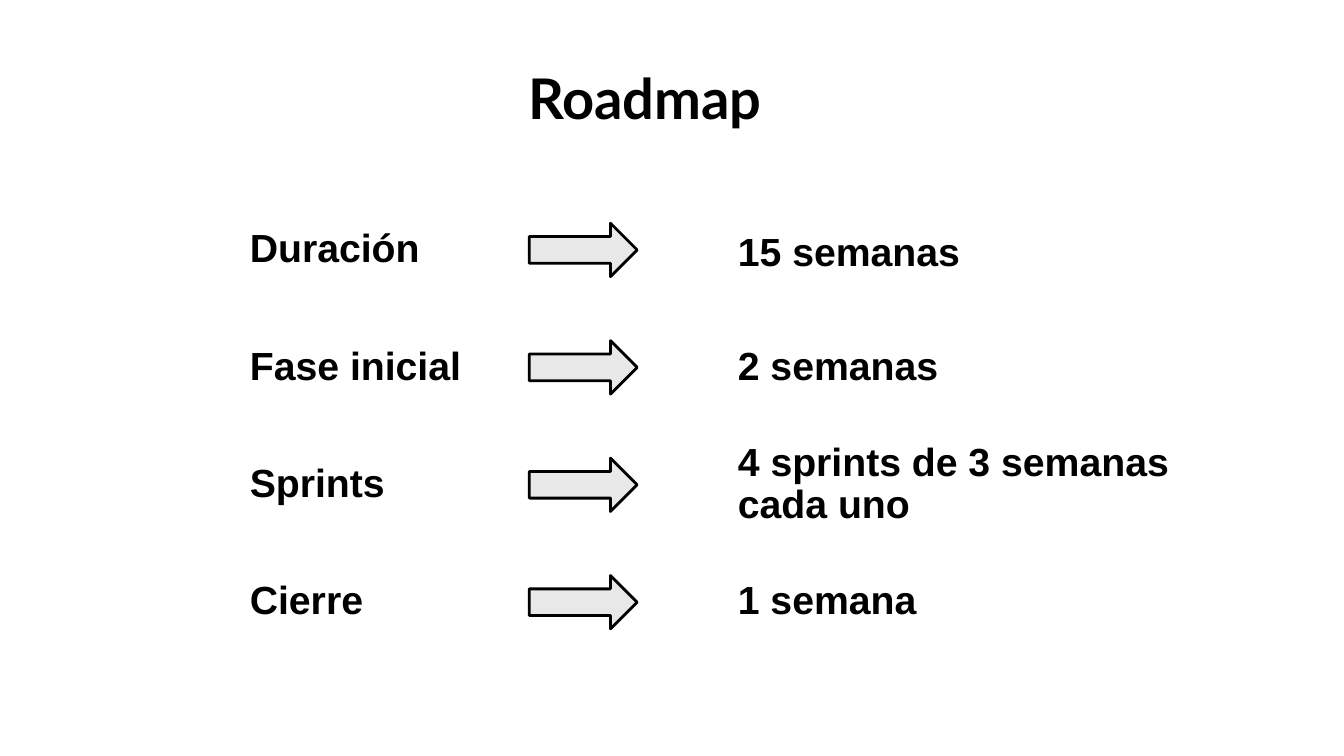
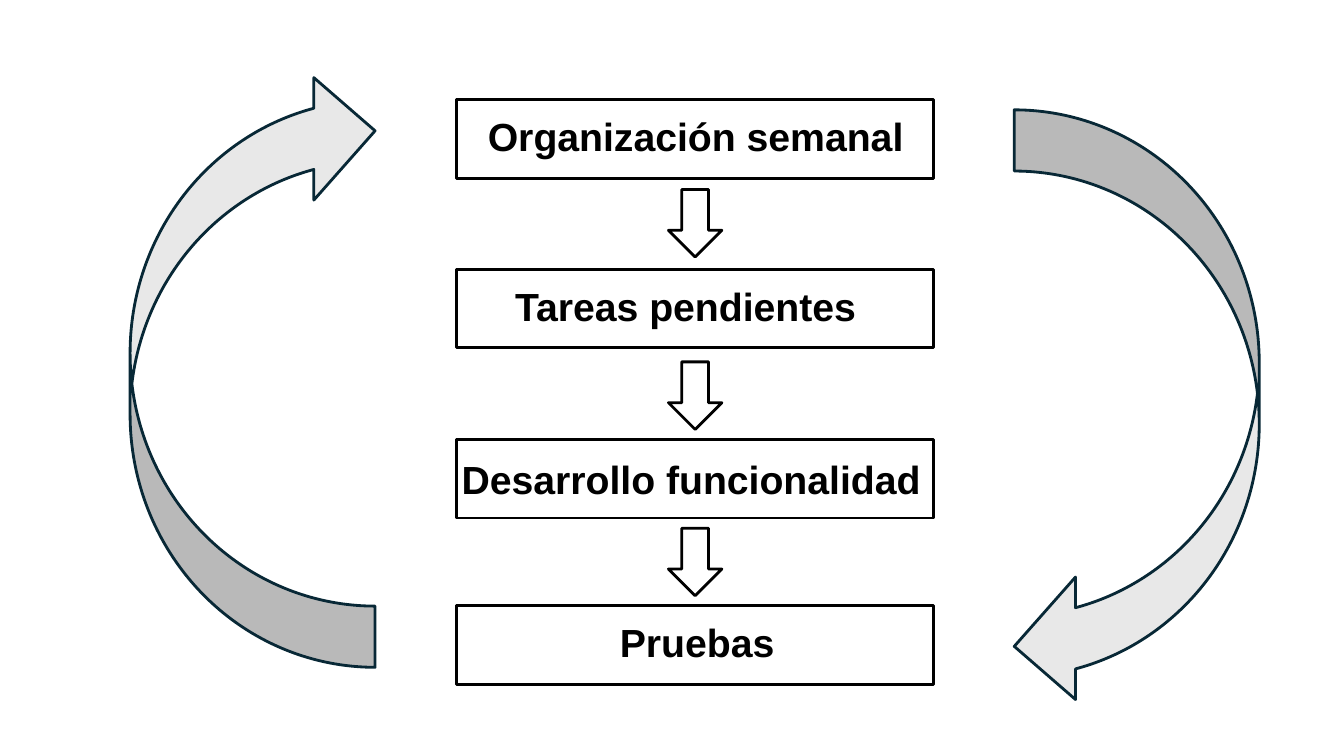
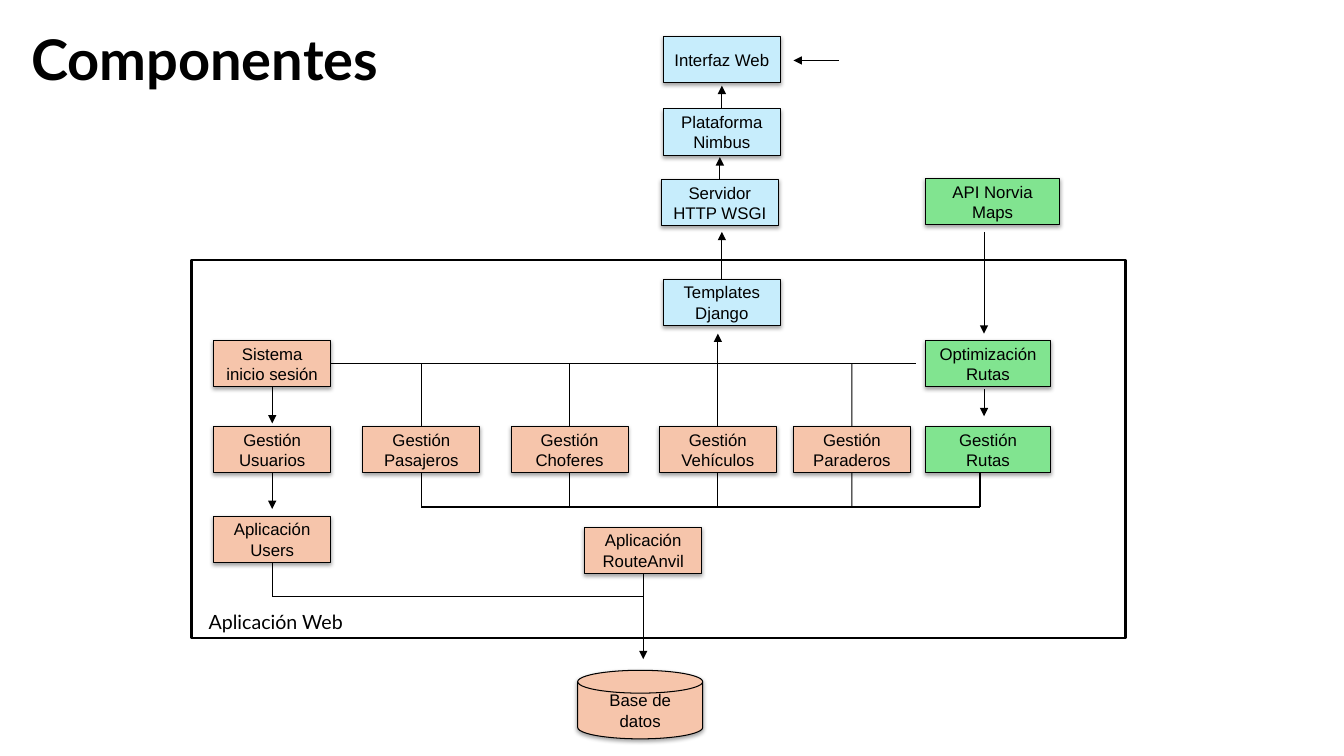
from lxml.etree import SubElement
from pptx import Presentation
from pptx.dml.color import RGBColor
from pptx.enum.shapes import MSO_CONNECTOR, MSO_SHAPE
from pptx.enum.text import MSO_ANCHOR, PP_ALIGN
from pptx.oxml.ns import qn
from pptx.util import Inches, Pt

COLORS = {
    "black": "000000",
    "white": "FFFFFF",
    "gray": "E8E8E8",
    "navy": "082836",
    "blue": "C7EDFC",
    "orange": "F6C5AB",
    "green": "81E490",
}
TITLE_FONT, BODY_FONT = "Lato", "Arial"
TOP, LEFT, BOTTOM, RIGHT = range(4)
BOX_W, BOX_H = 1.16, 0.46
LABEL_H = 0.39


def rgb(name):
    return RGBColor.from_string(COLORS[name])


class Deck:
    """Holds the shared style and the slide being built."""

    def __init__(self):
        self.prs = Presentation()
        self.prs.slide_width, self.prs.slide_height = Inches(13.33), Inches(7.5)

    def new_slide(self):
        self.s = self.prs.slides.add_slide(self.prs.slide_layouts[6])
        self.s.background.fill.solid()
        self.s.background.fill.fore_color.rgb = rgb("white")

    def fill_text(self, sp, text, size, font=BODY_FONT, bold=False,
                  align=PP_ALIGN.LEFT, anchor=MSO_ANCHOR.TOP, spacing=None):
        tf = sp.text_frame
        tf.word_wrap = True
        tf.vertical_anchor = anchor
        p = tf.paragraphs[0]
        p.text = text
        p.alignment = align
        if spacing:
            p.line_spacing = spacing
        p.font.size, p.font.name, p.font.bold = Pt(size), font, bold
        p.font.color.rgb = rgb("black")

    def text(self, x, y, w, h, text, size, **style):
        sp = self.s.shapes.add_textbox(*map(Inches, (x, y, w, h)))
        self.fill_text(sp, text, size, **style)

    def title(self, x, y, w, text):
        self.text(x, y, w, 0.77, text, 40, font=TITLE_FONT, bold=True)

    def label(self, x, middle, w, text, h=LABEL_H):
        """Large bold text, centred vertically on middle."""
        self.text(x, middle - h / 2, w, h, text, 28, bold=True,
                  anchor=MSO_ANCHOR.MIDDLE, spacing=0.9)

    def shape(self, kind, x, y, w, h, fill="white", line="black", width=2):
        sp = self.s.shapes.add_shape(kind, *map(Inches, (x, y, w, h)))
        sp.fill.solid()
        sp.fill.fore_color.rgb = rgb(fill)
        sp.line.color.rgb = rgb(line)
        sp.line.width = Pt(width)
        sp.shadow.inherit = False
        return sp

    def component(self, x, y, text, fill, w=BOX_W, h=BOX_H,
                  kind=MSO_SHAPE.RECTANGLE):
        """Captioned shape with a soft shadow below it."""
        sp = self.shape(kind, x, y, w, h, fill, width=0.75)
        effects = sp._element.spPr.find(qn("a:effectLst"))
        shadow = SubElement(effects, qn("a:outerShdw"), blurRad=str(Pt(3.1)),
                            dist=str(Pt(1.6)), dir="5400000", rotWithShape="0")
        color = SubElement(shadow, qn("a:srgbClr"), val=COLORS["black"])
        SubElement(color, qn("a:alpha"), val="37000")
        self.fill_text(sp, text, 12, align=PP_ALIGN.CENTER,
                       anchor=MSO_ANCHOR.MIDDLE)
        return sp

    def line(self, start, end, arrow=False, begin=None, finish=None):
        """Line between points; begin and finish are (shape, side) joints."""
        c = self.s.shapes.add_connector(
            MSO_CONNECTOR.STRAIGHT, *map(Inches, (*start, *end)))
        if begin:
            c.begin_connect(*begin)
        if finish:
            c.end_connect(*finish)
        c.line.color.rgb = rgb("black")
        c.line.width = Pt(0.75)
        spPr = c._element.spPr
        if arrow:
            SubElement(spPr.find(qn("a:ln")), qn("a:tailEnd"), type="triangle")
        SubElement(spPr, qn("a:effectLst"))


def roadmap(deck):
    deck.new_slide()
    deck.title(5.14, 0.58, 3.06, "Roadmap")
    rows = [
        ("Duración", 2.03, "15 semanas", 2.67, LABEL_H, 0.04),
        ("Fase inicial", 2.38, "2 semanas", 2.67, LABEL_H, 0),
        ("Sprints", 2.03, "4 sprints de 3 semanas cada uno", 4.62, 2.27, 0),
        ("Cierre", 2.03, "1 semana", 2.67, LABEL_H, 0),
    ]
    for i, (stage, stage_w, span, span_w, span_h, shift) in enumerate(rows):
        middle = 2.48 + 1.165 * i
        deck.label(2.38, middle, stage_w, stage)
        deck.shape(MSO_SHAPE.RIGHT_ARROW, 5.25, middle - 0.265, 1.07, 0.53, "gray")
        deck.label(7.22, middle + shift, span_w, span, span_h)


def weekly_cycle(deck):
    deck.new_slide()
    steps = [
        (0.99, "Organización semanal", 4.74, 1.38, 4.34),
        (2.67, "Tareas pendientes", 5.01, 3.06, 3.84),
        (4.36, "Desarrollo funcionalidad", 4.48, 4.78, 4.96),
        (6.01, "Pruebas", 6.05, 6.4, 2.03),
    ]
    for y, text, x, middle, w in steps:
        deck.shape(MSO_SHAPE.RECTANGLE, 4.53, y, 4.73, 0.78)
        deck.label(x, middle, w, text)
    for y in (1.88, 3.59, 5.24):
        deck.shape(MSO_SHAPE.DOWN_ARROW, 6.63, y, 0.53, 0.67)
    for x, y, turn in ((10.06, 1.09, 0), (1.29, 0.69, 180)):
        arc = deck.shape(MSO_SHAPE.CURVED_LEFT_ARROW, x, y, 2.43, 5.93,
                         "gray", "navy")
        arc.rotation = turn


def components(deck):
    deck.new_slide()
    deck.shape(MSO_SHAPE.RECTANGLE, 1.9, 2.58, 9.26, 3.75)
    deck.title(0.21, 0.19, 3.82, "Componentes")
    deck.text(1.97, 6, 2.21, 0.34, "Aplicación Web", 14, font=TITLE_FONT)

    deck.component(6.58, 0.36, "Interfaz Web", "blue")
    platform = deck.component(6.58, 1.08, "Plataforma Nimbus", "blue")
    server = deck.component(6.56, 1.78, "Servidor HTTP WSGI", "blue")
    templates = deck.component(6.58, 2.77, "Templates Django", "blue")

    login_y, manage_y = 3.38, 4.23
    login = deck.component(2.12, login_y, "Sistema inicio sesión", "orange")
    users = deck.component(2.12, manage_y, "Gestión Usuarios", "orange")
    users_app = deck.component(2.12, 5.12, "Aplicación Users", "orange")
    managers = [
        (x + BOX_W / 2, deck.component(x, manage_y, f"Gestión {name}", "orange"))
        for x, name in ((3.6, "Pasajeros"), (5.07, "Choferes"),
                        (6.54, "Vehículos"), (7.87, "Paraderos"))
    ]
    deck.component(9.18, 1.77, "API Norvia Maps", "green", 1.33)
    deck.component(9.18, login_y, "Optimización Rutas", "green", 1.24)
    deck.component(9.18, manage_y, "Gestión Rutas", "green", 1.24)
    main_app = deck.component(5.8, 5.23, "Aplicación RouteAnvil", "orange")
    deck.component(5.73, 6.65, "Base de datos", "orange", 1.24, 0.68,
                   MSO_SHAPE.FLOWCHART_MAGNETIC_DISK)

    # Arrows up through the web layers
    web_x, server_x, vehicles_x = 7.16, 7.14, 7.12
    for box, x, y, tip in ((platform, web_x, 1.08, 0.85),
                           (server, server_x, 1.78, 1.56),
                           (templates, web_x, 2.77, 2.3)):
        deck.line((x, y), (x, tip), arrow=True, begin=(box, TOP))
    deck.line((8.32, 0.6), (7.87, 0.6), arrow=True)

    # Upper and lower buses around the management row
    upper, lower, routes_x = login_y + BOX_H / 2, 5.03, 9.72
    deck.line((3.28, upper), (9.09, upper), begin=(login, RIGHT))
    deck.line((vehicles_x, upper), (vehicles_x, 3.31), arrow=True)
    for x, box in managers:
        deck.line((x, upper), (x, manage_y), finish=(box, TOP))
        deck.line((x, manage_y + BOX_H), (x, lower), begin=(box, BOTTOM))
    deck.line((routes_x, manage_y + BOX_H), (routes_x, lower))
    deck.line((managers[0][0], lower), (routes_x, lower))

    # Users column, main application and database
    users_x, main_x, store_y = 2.7, 6.38, 5.92
    for box, y, tip in ((login, 3.84, 4.2), (users, 4.69, 5.05)):
        deck.line((users_x, y), (users_x, tip), arrow=True, begin=(box, BOTTOM))
    deck.line((users_x, 5.58), (users_x, store_y), begin=(users_app, BOTTOM))
    deck.line((users_x, store_y), (main_x, store_y))
    deck.line((main_x, 5.69), (main_x, 6.54), arrow=True, begin=(main_app, BOTTOM))

    # Routes column
    for y, tip in ((2.3, 3.31), (3.86, 4.13)):
        deck.line((9.76, y), (9.76, tip), arrow=True)


def main():
    deck = Deck()
    for build in (roadmap, weekly_cycle, components):
        build(deck)
    deck.prs.save("out.pptx")


if __name__ == "__main__":
    main()
